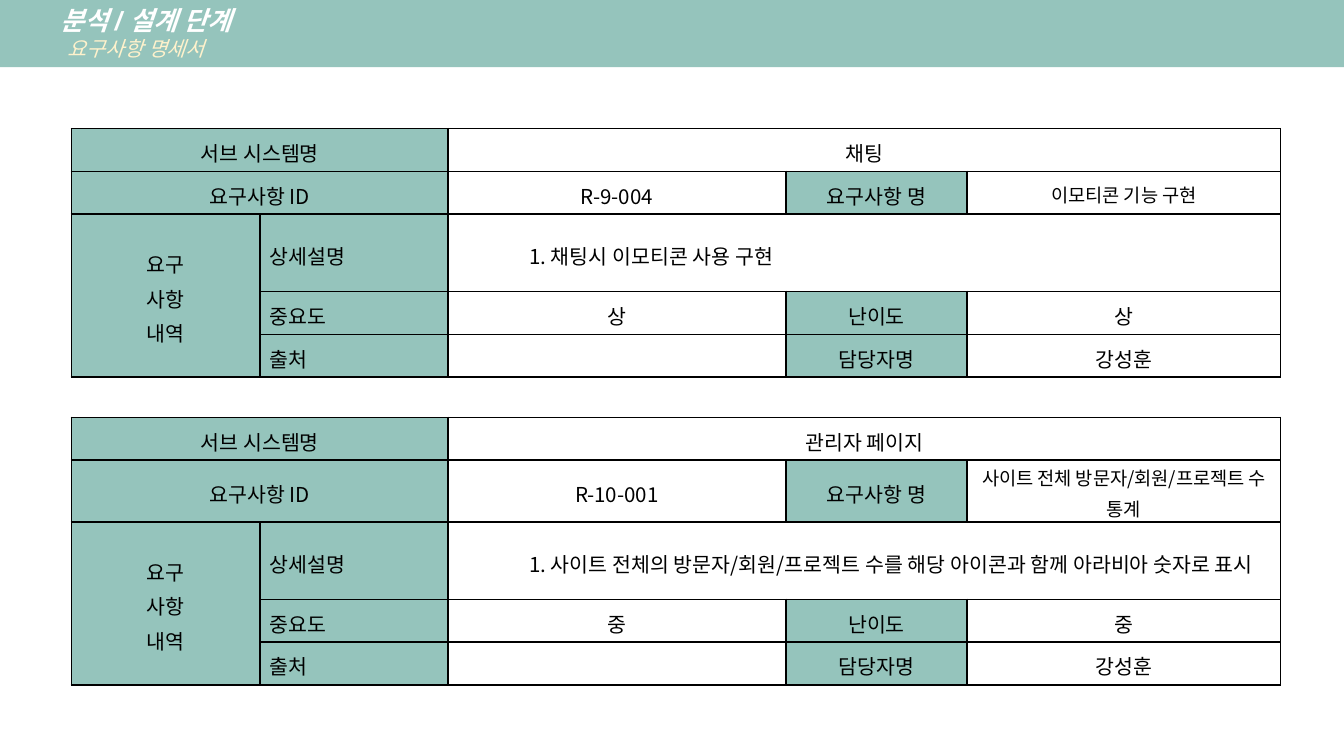
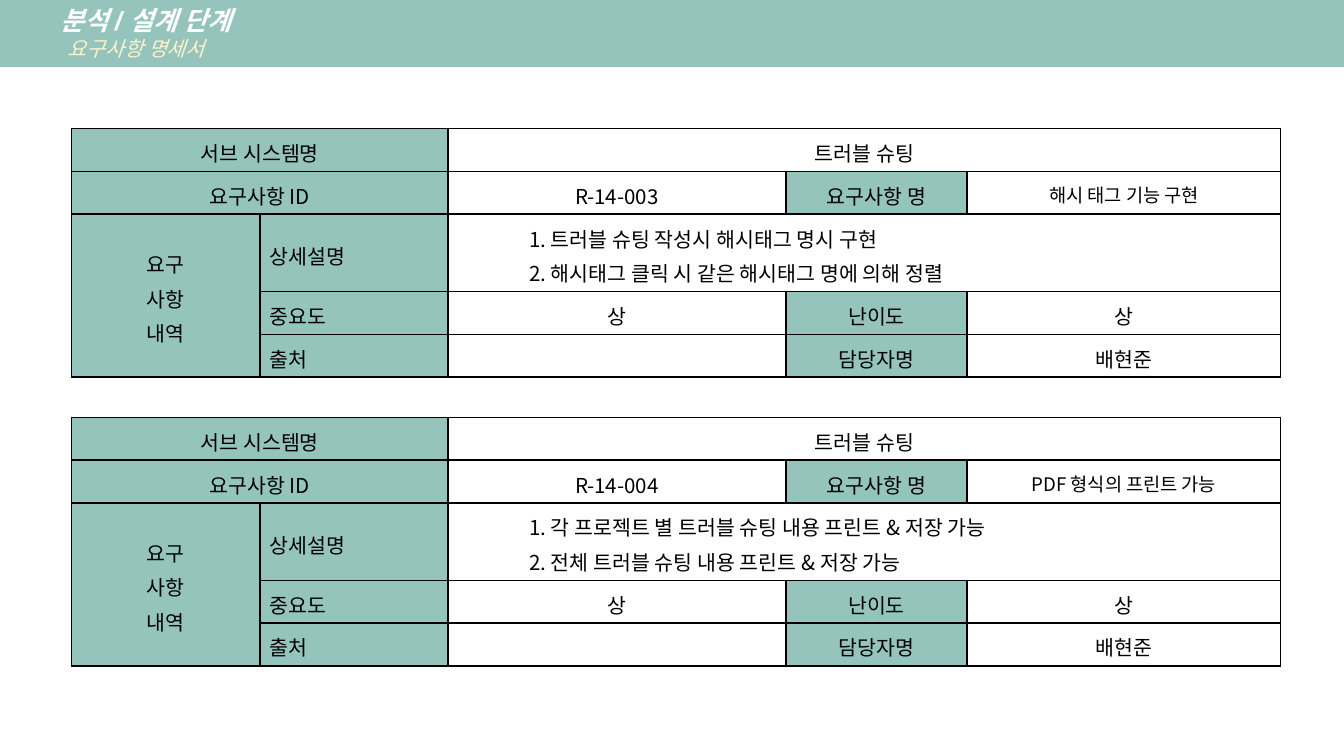
from dataclasses import dataclass

import pptx
import pptx.dml.color
import pptx.enum.shapes
import pptx.enum.text
import pptx.oxml.ns
import pptx.presentation
import pptx.slide
import pptx.table
import pptx.text.text
import pptx.util
from lxml import etree
from pptx.dml.color import RGBColor
from pptx.enum.text import MSO_ANCHOR, PP_ALIGN
from pptx.util import Cm, Pt

TEAL = RGBColor(0x95, 0xC4, 0xBC)
CREAM = RGBColor(0xFF, 0xF2, 0xCC)
WHITE = RGBColor(0xFF, 0xFF, 0xFF)
BLACK = RGBColor(0x00, 0x00, 0x00)

TITLE_FONT = "Arial"
BODY_FONT = "Noto Sans CJK KR"
BODY_SIZE = 11
NAME_SIZE = 10

SIDE_MARGIN = Cm(0.18)
COLUMN_WIDTHS = [Cm(w) for w in (3.56, 3.56, 6.38, 3.43, 5.92)]
ROW = Cm(0.81)
GAP = Cm(0.76)
BLOCK_HEIGHTS = [ROW, ROW, Cm(1.46), ROW, ROW]
ROW_HEIGHTS = [*BLOCK_HEIGHTS, GAP, *BLOCK_HEIGHTS]
GAP_ROW = len(BLOCK_HEIGHTS)


@dataclass(frozen=True)
class Requirement:
    subsystem: str
    code: str
    name: str
    details: tuple[str, ...]
    importance: str
    difficulty: str
    owner: str


@dataclass(frozen=True)
class Entry:
    """One cell of a requirement block, placed relative to the block's first row."""

    row: int
    column: int
    lines: tuple[str, ...]
    label: bool = False
    rows: int = 1
    columns: int = 1
    align: PP_ALIGN = PP_ALIGN.CENTER
    size: int = BODY_SIZE
    indent: pptx.util.Length = Cm(0)


SLIDES = [
    (
        Requirement("채팅", "R-9-004", "이모티콘 기능 구현",
                    ("1. 채팅시 이모티콘 사용 구현",), "상", "상", "강성훈"),
        Requirement("관리자 페이지", "R-10-001", "사이트 전체 방문자/회원/프로젝트 수 통계",
                    ("1. 사이트 전체의 방문자/회원/프로젝트 수를 해당 아이콘과 함께 아라비아 숫자로 표시",),
                    "중", "중", "강성훈"),
    ),
    (
        Requirement("트러블 슈팅", "R-14-003", "해시 태그 기능 구현",
                    ("1. 트러블 슈팅 작성시 해시태그 명시 구현",
                     "2. 해시태그 클릭 시 같은 해시태그 명에 의해 정렬"),
                    "상", "상", "배현준"),
        Requirement("트러블 슈팅", "R-14-004", "PDF 형식의 프린트 가능",
                    ("1. 각 프로젝트 별 트러블 슈팅 내용 프린트 & 저장 가능",
                     "2. 전체 트러블 슈팅 내용 프린트 & 저장 가능"),
                    "상", "상", "배현준"),
    ),
]


def block_entries(requirement: Requirement) -> list[Entry]:
    left = PP_ALIGN.LEFT
    return [
        Entry(0, 0, ("서브 시스템명",), label=True, columns=2),
        Entry(0, 2, (requirement.subsystem,), columns=3),
        Entry(1, 0, ("요구사항 ID",), label=True, columns=2),
        Entry(1, 2, (requirement.code,)),
        Entry(1, 3, ("요구사항 명",), label=True),
        Entry(1, 4, (requirement.name,), size=NAME_SIZE),
        Entry(2, 0, ("요구\v사항\v내역",), label=True, rows=3),
        Entry(2, 1, ("상세설명",), label=True, align=left),
        Entry(2, 2, requirement.details, columns=3, align=left, indent=Cm(1.35)),
        Entry(3, 1, ("중요도",), label=True, align=left),
        Entry(3, 2, (requirement.importance,)),
        Entry(3, 3, ("난이도",), label=True),
        Entry(3, 4, (requirement.difficulty,)),
        Entry(4, 1, ("출처",), label=True, align=left),
        Entry(4, 2, ("",)),
        Entry(4, 3, ("담당자명",), label=True),
        Entry(4, 4, (requirement.owner,)),
    ]


def set_font(paragraph: pptx.text.text._Paragraph, name: str, size: int, color: RGBColor) -> None:
    """Set the paragraph's font, with the body font for Hangul."""
    paragraph.font.name = name
    paragraph.font.size = Pt(size)
    paragraph.font.color.rgb = color
    defaults = paragraph._p.get_or_add_pPr().find(pptx.oxml.ns.qn("a:defRPr"))
    etree.SubElement(defaults, pptx.oxml.ns.qn("a:ea"), typeface=BODY_FONT)


def set_indent(paragraph: pptx.text.text._Paragraph, indent: pptx.util.Length) -> None:
    properties = paragraph._p.get_or_add_pPr()
    properties.set("marL", str(int(indent)))
    properties.set("indent", "0")


def set_borders(cell: pptx.table._Cell, sides_drawn: str) -> None:
    """Draw the named sides (L, R, T, B) and clear the others."""
    properties = cell._tc.get_or_add_tcPr()
    for position, side in enumerate("LRTB"):
        line = etree.Element(pptx.oxml.ns.qn(f"a:ln{side}"), w=str(int(Pt(1))))
        if side in sides_drawn:
            fill = etree.SubElement(line, pptx.oxml.ns.qn("a:solidFill"))
            etree.SubElement(fill, pptx.oxml.ns.qn("a:srgbClr"), val=str(BLACK))
        else:
            etree.SubElement(line, pptx.oxml.ns.qn("a:noFill"))
        properties.insert(position, line)


def add_header(slide: pptx.slide.Slide, width: pptx.util.Length) -> None:
    band = slide.shapes.add_shape(
        pptx.enum.shapes.MSO_SHAPE.RECTANGLE, 0, Cm(-0.03), width, Cm(1.3))
    band.shadow.inherit = False
    band.fill.solid()
    band.fill.fore_color.rgb = TEAL
    band.line.fill.background()
    frame = band.text_frame
    frame.word_wrap = True
    frame.vertical_anchor = MSO_ANCHOR.MIDDLE
    frame.margin_left = frame.margin_right = SIDE_MARGIN
    frame.margin_top = frame.margin_bottom = Cm(0.1)
    frame.text = "분석 / 설계 단계\n요구사항 명세서"
    styles = [(14, WHITE, True, Cm(0.97)), (11, CREAM, False, Cm(1.1))]
    for paragraph, (size, color, bold, indent) in zip(frame.paragraphs, styles):
        paragraph.level = 1
        paragraph.alignment = PP_ALIGN.LEFT
        set_indent(paragraph, indent)
        set_font(paragraph, TITLE_FONT, size, color)
        paragraph.font.bold = bold
        paragraph.font.italic = True


def fill_entry(table: pptx.table.Table, first_row: int, entry: Entry) -> None:
    row = first_row + entry.row
    cell = table.cell(row, entry.column)
    if entry.rows * entry.columns > 1:
        cell.merge(table.cell(row + entry.rows - 1, entry.column + entry.columns - 1))
    if entry.label:
        cell.fill.fore_color.rgb = TEAL
    cell.text_frame.text = "\n".join(entry.lines)
    for paragraph in cell.text_frame.paragraphs:
        paragraph.alignment = entry.align
        paragraph.line_spacing = 1.15
        if entry.indent:
            set_indent(paragraph, entry.indent)
        set_font(paragraph, BODY_FONT, entry.size, BLACK)


def add_requirements(slide: pptx.slide.Slide, requirements: tuple[Requirement, ...]) -> None:
    table = slide.shapes.add_table(
        len(ROW_HEIGHTS), len(COLUMN_WIDTHS), Cm(1.35), Cm(2.43),
        sum(COLUMN_WIDTHS), sum(ROW_HEIGHTS)).table
    table.first_row = table.horz_banding = False
    for column, width in zip(table.columns, COLUMN_WIDTHS):
        column.width = width
    for index, (row, height) in enumerate(zip(table.rows, ROW_HEIGHTS)):
        row.height = height
        for cell in row.cells:
            cell.margin_left = cell.margin_right = SIDE_MARGIN
            cell.margin_top = cell.margin_bottom = 0
            cell.vertical_anchor = MSO_ANCHOR.MIDDLE
            cell.fill.solid()
            cell.fill.fore_color.rgb = WHITE
            set_borders(cell, "TB" if index == GAP_ROW else "LRTB")
    table.cell(GAP_ROW, 0).merge(table.cell(GAP_ROW, len(COLUMN_WIDTHS) - 1))
    set_font(table.cell(GAP_ROW, 0).text_frame.paragraphs[0], BODY_FONT, BODY_SIZE, BLACK)
    for number, requirement in enumerate(requirements):
        for entry in block_entries(requirement):
            fill_entry(table, number * (GAP_ROW + 1), entry)


def main() -> None:
    deck = pptx.Presentation()
    deck.slide_width = Cm(25.4)
    deck.slide_height = Cm(14.29)
    for requirements in SLIDES:
        slide = deck.slides.add_slide(deck.slide_layouts[6])
        add_header(slide, deck.slide_width)
        add_requirements(slide, requirements)
    deck.save("out.pptx")


if __name__ == "__main__":
    main()
